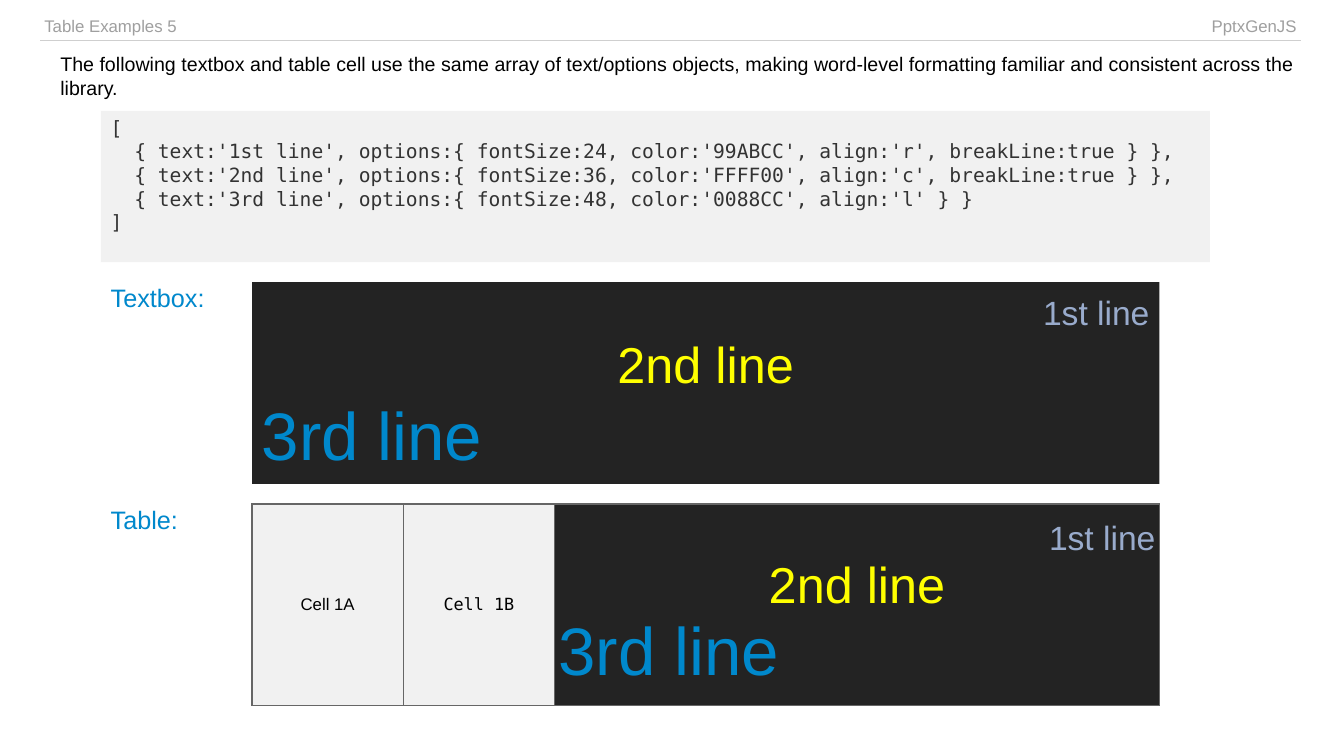
from dataclasses import dataclass

from lxml.etree import SubElement
from pptx import Presentation
from pptx.dml.color import RGBColor
from pptx.enum.shapes import MSO_SHAPE as Shape
from pptx.enum.text import MSO_ANCHOR as Anchor, PP_ALIGN as Align
from pptx.oxml.ns import qn
from pptx.util import Inches, Pt


@dataclass(frozen=True)
class Theme:
    sans: str = "Arial"
    mono: str = "DejaVu Sans Mono"
    black: str = "000000"
    code_ink: str = "333333"
    muted: str = "9F9F9F"
    rule: str = "CFCFCF"
    border: str = "666666"
    panel: str = "F1F1F1"
    dark: str = "232323"
    accent: str = "0088CC"
    pale_blue: str = "99ABCC"
    yellow: str = "FFFF00"
    small: int = 12
    body: int = 14
    label: int = 18
    line_sizes: tuple = (24, 36, 48)


@dataclass(frozen=True)
class Line:
    """One paragraph; each line break in its text stays within the paragraph."""
    text: str
    size: int
    color: str
    align: Align = Align.LEFT
    font: str = Theme.sans


@dataclass(frozen=True)
class Cell:
    lines: list
    fill: str = ""
    anchor: Anchor = Anchor.MIDDLE


class SlideBuilder:
    def __init__(self, slide, theme):
        self.slide = slide
        self.theme = theme

    def add_lines(self, frame, lines):
        for index, line in enumerate(lines):
            paragraph = frame.add_paragraph() if index else frame.paragraphs[0]
            paragraph.alignment = line.align
            for row, text in enumerate(line.text.split("\n")):
                if row:
                    paragraph.add_line_break()
                run = paragraph.add_run()
                run.text = text
                run.font.name = line.font
                run.font.size = Pt(line.size)
                run.font.color.rgb = RGBColor.from_string(line.color)

    def text(self, left, top, width, height, *lines):
        frame = self.slide.shapes.add_textbox(
            Inches(left), Inches(top), Inches(width), Inches(height)).text_frame
        frame.word_wrap = True
        frame.vertical_anchor = Anchor.MIDDLE
        self.add_lines(frame, lines)

    def label(self, top, text):
        self.text(1, top, 3, 0.3, Line(text, self.theme.label, self.theme.accent))

    def panel(self, left, top, width, height, fill, lines, anchor=Anchor.MIDDLE):
        panel = self.slide.shapes.add_shape(
            Shape.RECTANGLE, Inches(left), Inches(top), Inches(width), Inches(height))
        panel.shadow.inherit = False
        panel.fill.solid()
        panel.fill.fore_color.rgb = RGBColor.from_string(fill)
        panel.line.fill.background()
        panel.text_frame.word_wrap = True
        panel.text_frame.vertical_anchor = anchor
        self.add_lines(panel.text_frame, lines)

    def table(self, left, top, widths, height, cells, border, sides="LRTB"):
        """Add a one-row table with borders on the given sides of each cell."""
        table = self.slide.shapes.add_table(
            1, len(widths), Inches(left), Inches(top),
            Inches(sum(widths)), Inches(height)).table
        table.first_row = table.horz_banding = False
        for index, (width, content) in enumerate(zip(widths, cells)):
            table.columns[index].width = Inches(width)
            cell = table.cell(0, index)
            cell.margin_left = cell.margin_right = Inches(0.04)
            cell.margin_top = cell.margin_bottom = Inches(0.04)
            cell.vertical_anchor = content.anchor
            self.borders(cell, border, sides)
            if content.fill:
                cell.fill.solid()
                cell.fill.fore_color.rgb = RGBColor.from_string(content.fill)
            else:
                cell.fill.background()
            self.add_lines(cell.text_frame, content.lines)

    def borders(self, cell, color, sides):
        properties = cell._tc.get_or_add_tcPr()
        for side in "LRTB":
            edge = SubElement(properties, qn(f"a:ln{side}"), w=str(Pt(1)))
            if side in sides:
                fill = SubElement(edge, qn("a:solidFill"))
                SubElement(fill, qn("a:srgbClr"), val=color)
            else:
                SubElement(edge, qn("a:noFill"))


CODE = """[
  { text:'1st line', options:{ fontSize:24, color:'99ABCC', align:'r', breakLine:true } },
  { text:'2nd line', options:{ fontSize:36, color:'FFFF00', align:'c', breakLine:true } },
  { text:'3rd line', options:{ fontSize:48, color:'0088CC', align:'l' } }
]"""
INTRO = ("The following textbox and table cell use the same array of text/options objects, "
         "making word-level formatting familiar and consistent across the library.")


def main():
    theme = Theme()
    deck = Presentation()
    deck.slide_width, deck.slide_height = Inches(13.33), Inches(7.5)
    builder = SlideBuilder(deck.slides.add_slide(deck.slide_layouts[6]), theme)

    header = [Cell([Line(text, theme.small, theme.muted, align)], anchor=Anchor.TOP)
              for text, align in (("Table Examples 5", Align.LEFT),
                                  ("PptxGenJS", Align.RIGHT))]
    builder.table(0.4, 0.13, (9, 3.5), 0.27, header, theme.rule, sides="B")

    builder.text(0.5, 0.5, 12.67, 0.5, Line(INTRO, theme.body, theme.black))
    builder.panel(1, 1.1, 11, 1.5, theme.panel,
                  [Line(CODE, theme.body, theme.code_ink, font=theme.mono)], Anchor.TOP)

    formatted_lines = [
        Line(text, size, color, align) for text, size, color, align in zip(
            ("1st line", "2nd line", "3rd line"), theme.line_sizes,
            (theme.pale_blue, theme.yellow, theme.accent),
            (Align.RIGHT, Align.CENTER, Align.LEFT))]

    builder.label(2.8, "Textbox:")
    builder.panel(2.5, 2.8, 9, 2, theme.dark, formatted_lines)

    builder.label(5, "Table:")
    cells = [Cell([Line(text, theme.small, theme.black, Align.CENTER, font)], theme.panel)
             for text, font in (("Cell 1A", theme.sans), ("Cell 1B", theme.mono))]
    cells.append(Cell(formatted_lines, theme.dark))
    builder.table(2.5, 5, (1.5, 1.5, 6), 2, cells, theme.border)

    deck.save("out.pptx")


if __name__ == "__main__":
    main()
